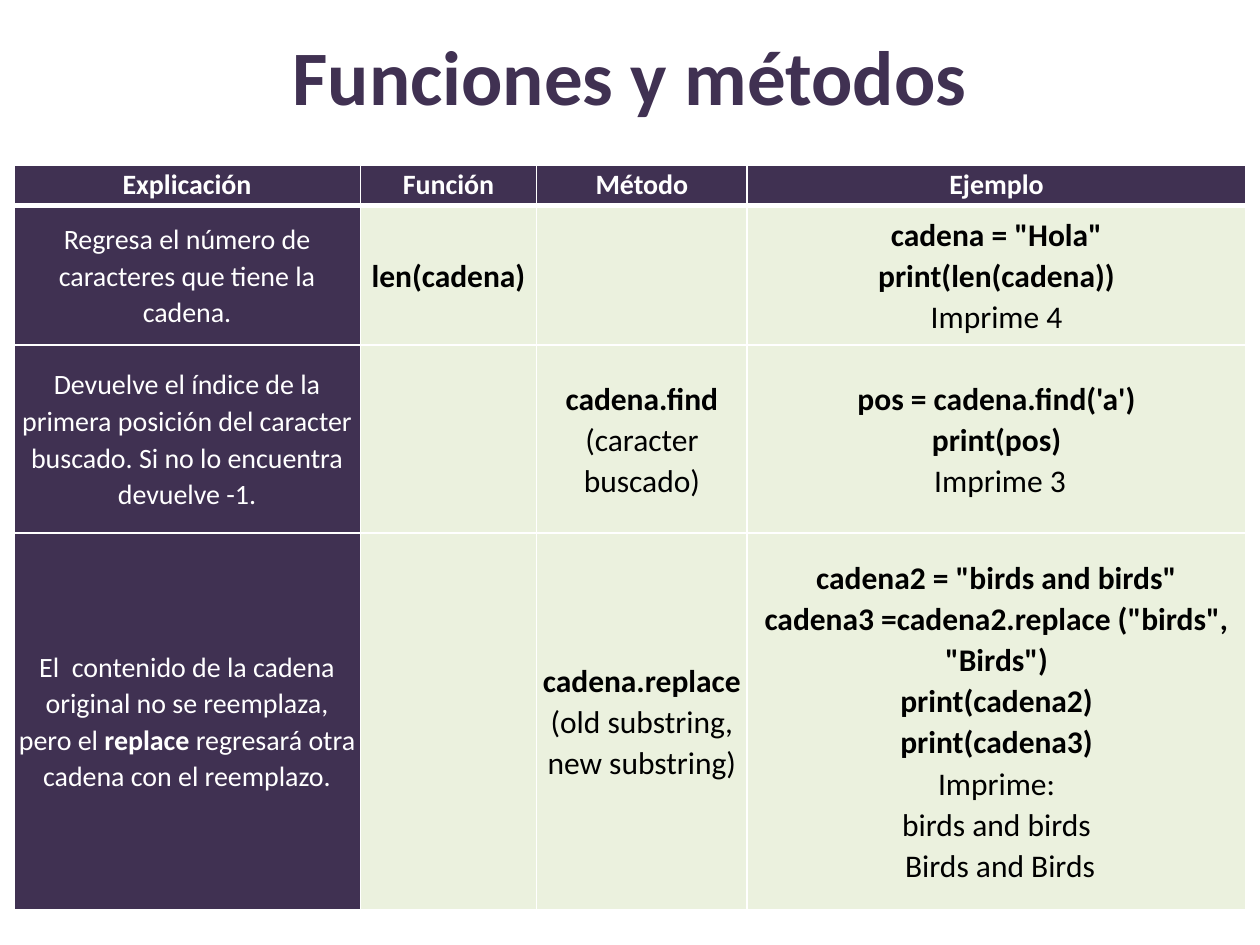
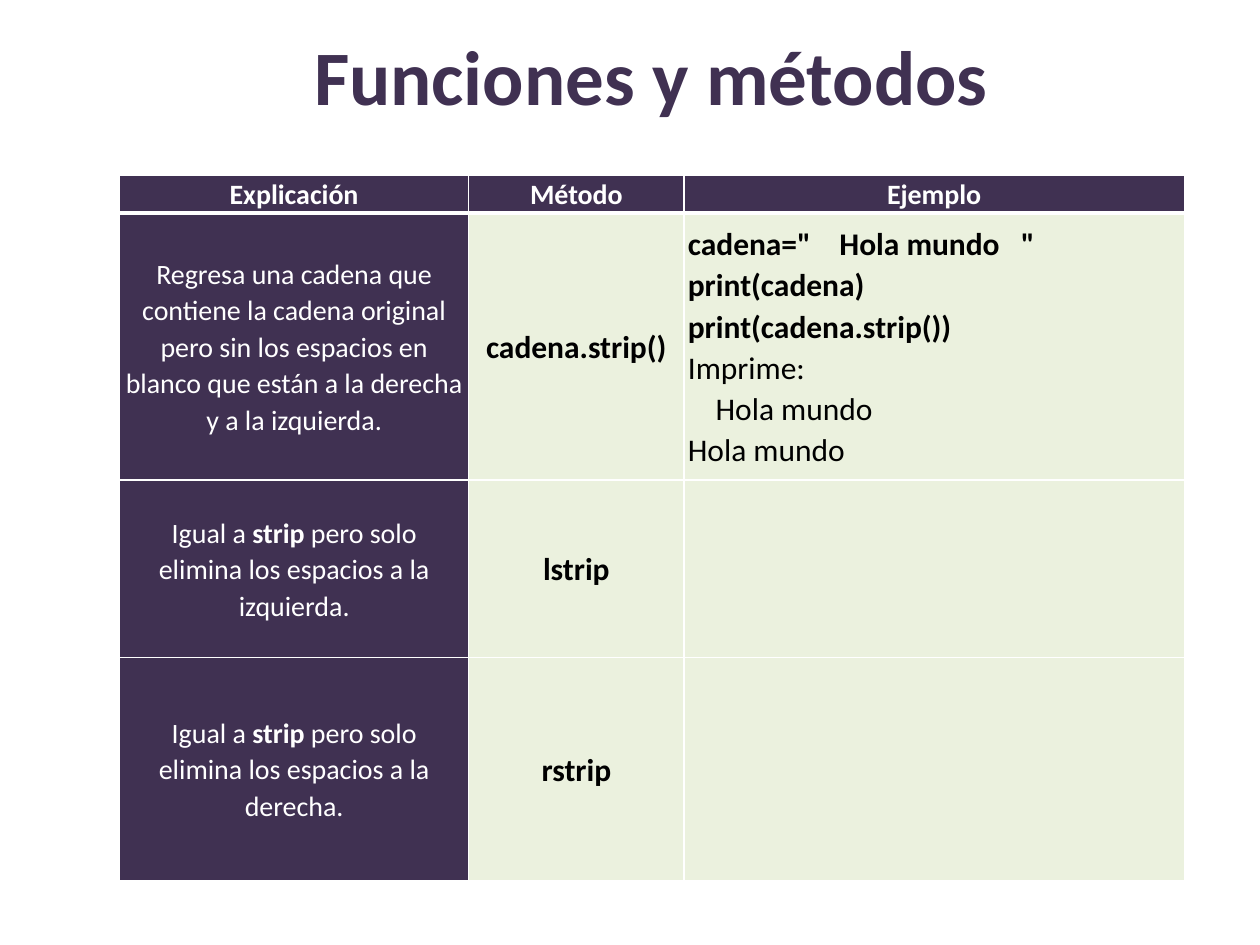
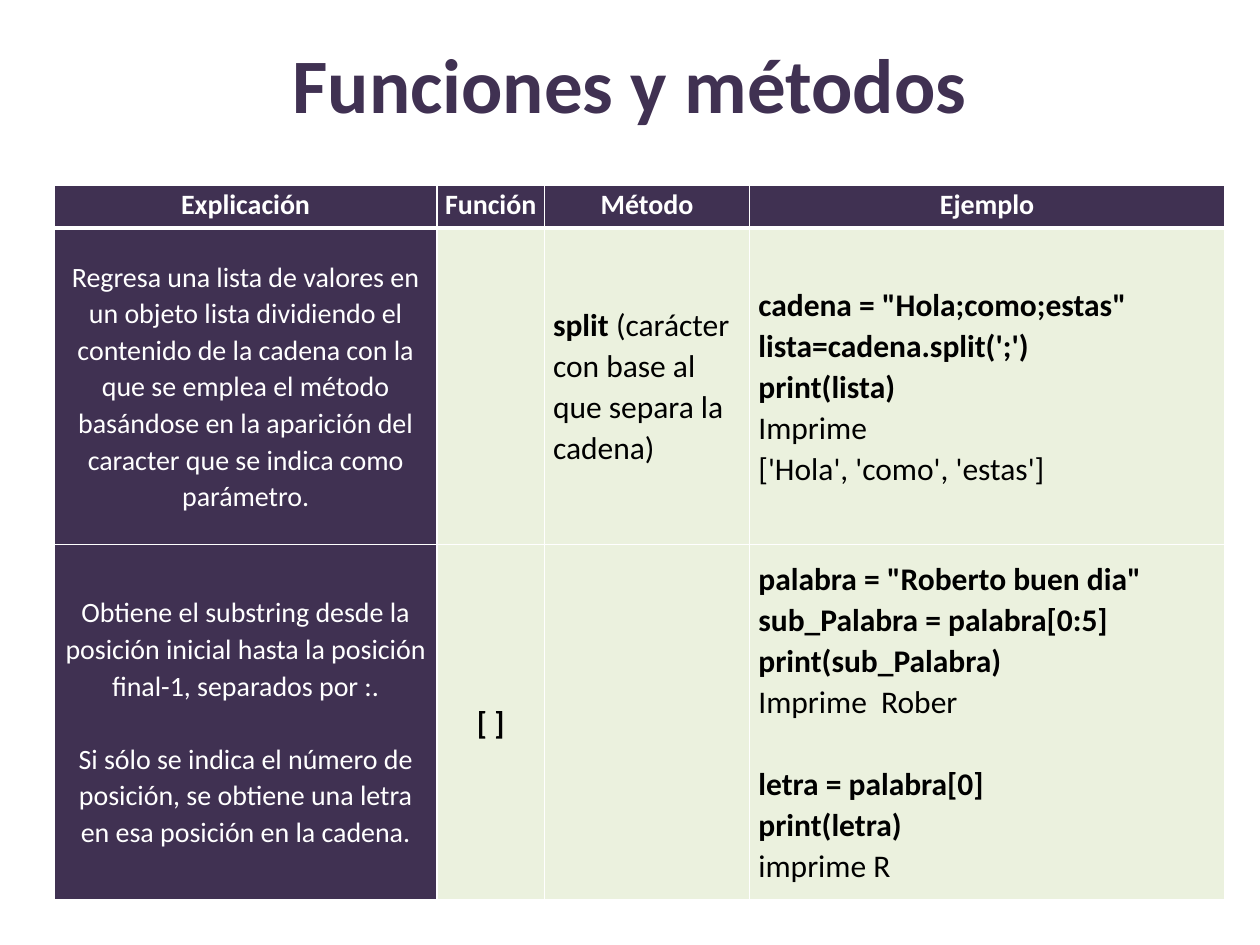
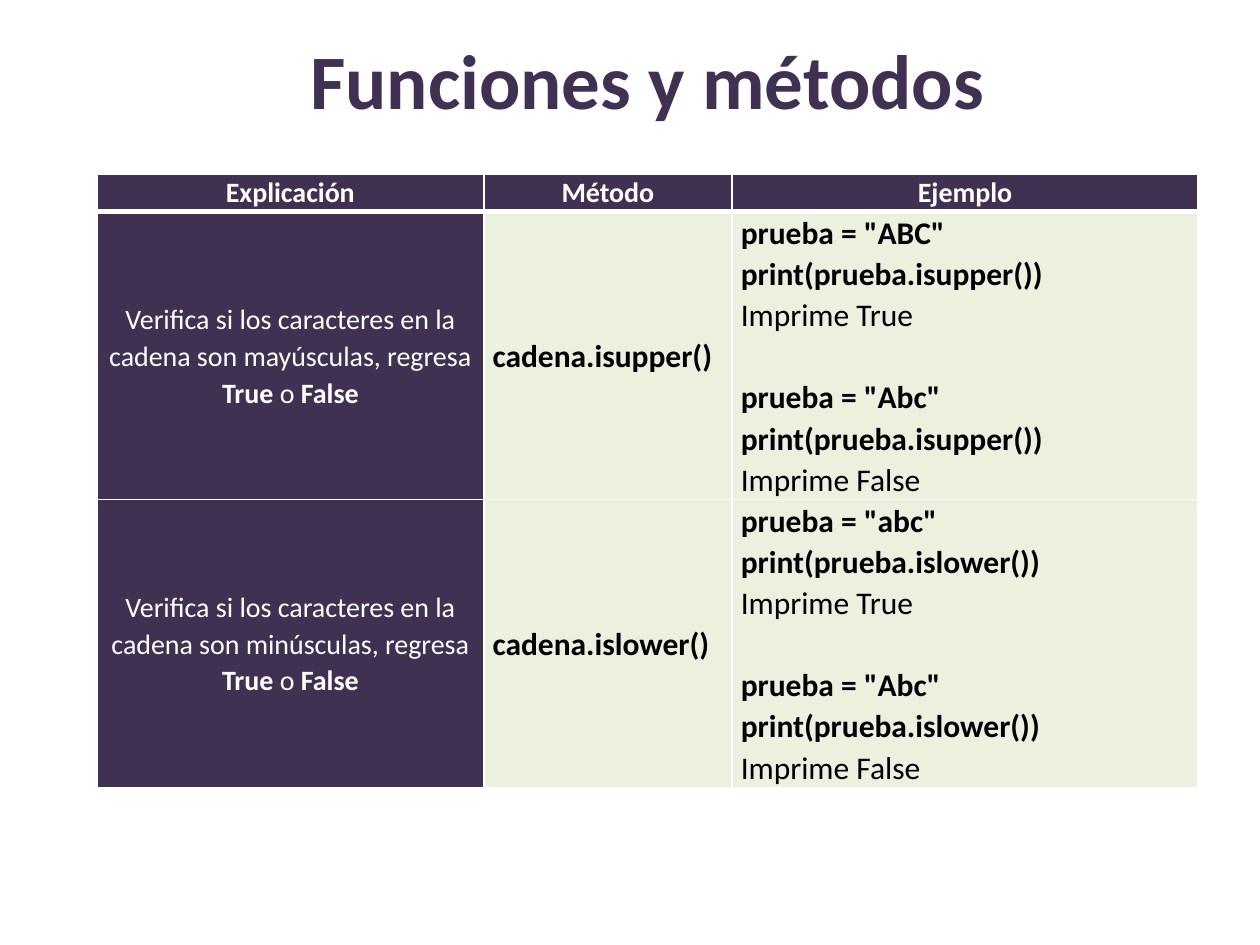
import pptx
import pptx.dml.color
import pptx.enum.text
import pptx.oxml
import pptx.oxml.ns
import pptx.util

Inches = pptx.util.Inches
ALIGN = pptx.enum.text.PP_ALIGN
ANCHOR = pptx.enum.text.MSO_ANCHOR

# Shared look
COLORS = {"purple": "403152", "green": "EBF1DE", "white": "FFFFFF", "black": "000000"}
FONT = "Calibri"
TITLE = "Funciones y métodos"
TITLE_SIZE, LABEL_SIZE, CODE_SIZE = 44, 16, 18
LINE_SPACING = 1.07
LINE_HEIGHT = 1.22 * LINE_SPACING  # height of one line, in font sizes
NARROW, WIDE = 0.03, 0.07  # side margins of cells
OUTPUT_INDENT = 0.22

# Cell texts: ** switches bold, an empty line is a gap, a tab is an indent
SEARCH_ROWS = [
    ["Explicación", "Función", "Método", "Ejemplo"],
    ["Regresa el número de caracteres que tiene la cadena.",
     "**len(cadena)**",
     "",
     '**cadena = "Hola"**\n**print(len(cadena))**\nImprime 4'],
    ["Devuelve el índice de la primera posición del caracter buscado. "
     "Si no lo encuentra devuelve -1.",
     "",
     "**cadena.find **(caracter buscado)",
     "**pos = cadena.find('a')**\n**print(pos)**\n Imprime 3"],
    ["El  contenido de la cadena original no se reemplaza, pero el **replace** "
     "regresará otra cadena con el reemplazo.",
     "",
     "**cadena.replace**(old substring, new substring)",
     '**cadena2 = "birds and birds"**\n'
     '**cadena3 =cadena2.replace ("birds", "Birds")**\n'
     "**print(cadena2)**\n**print(cadena3)**\n"
     "Imprime:\nbirds and birds\n Birds and Birds"],
]

STRIP_ROWS = [
    ["Explicación", "Método", "Ejemplo"],
    ["Regresa una cadena que contiene la cadena original pero sin los espacios "
     "en blanco que están a la derecha y a la izquierda.",
     "**cadena.strip()**",
     '**cadena="    Hola mundo   "**\n**print(cadena)**\n**print(cadena.strip())**\n'
     "Imprime:\n\tHola mundo\nHola mundo"],
    ["Igual a **strip **pero solo elimina los espacios a la izquierda.",
     "**lstrip**", ""],
    ["Igual a **strip** pero solo elimina los espacios a la derecha.",
     "**rstrip**", ""],
]

SPLIT_ROWS = [
    ["Explicación", "Función", "Método", "Ejemplo"],
    ["Regresa una lista de valores en un objeto lista dividiendo el contenido de "
     "la cadena con la que se emplea el método basándose en la aparición del "
     "caracter que se indica como parámetro.",
     "",
     "**split **(carácter con base al que separa la cadena)",
     '**cadena = "Hola;como;estas"**\n**lista=cadena.split(\';\')**\n'
     "**print(lista)**\nImprime\n['Hola', 'como', 'estas']"],
    ["Obtiene el substring desde la posición inicial hasta la posición final-1, "
     "separados por :.\n\n"
     "Si sólo se indica el número de posición, se obtiene una letra en esa "
     "posición en la cadena.",
     "**[ ]**",
     "",
     '**palabra = "Roberto buen dia"**\n**sub_Palabra = palabra[0:5]**\n'
     "**print(sub_Palabra)**\nImprime  Rober\n\n"
     "**letra = palabra[0]**\n**print(letra)**\nimprime R"],
]


def case_row(kind, method, sample):
    """Row for a method that checks the case of a text."""
    checks = [f'**prueba = "{text}"**\n**print(prueba.{method}())**\nImprime {result}'
              for text, result in ((sample, True), ("Abc", False))]
    return [f"Verifica si los caracteres en la cadena son {kind}, "
            "regresa **True** o **False**",
            f"**cadena.{method}()**",
            "\n\n".join(checks)]


CASE_ROWS = [
    ["Explicación", "Método", "Ejemplo"],
    case_row("mayúsculas", "isupper", "ABC"),
    case_row("minúsculas", "islower", "abc"),
]


def rgb(name):
    return pptx.dml.color.RGBColor.from_string(COLORS[name])


def style_font(font, size, color, bold):
    font.name = FONT
    font.size = pptx.util.Pt(size)
    font.color.rgb = rgb(color)
    font.bold = bold


def add_title(slide, left, top):
    title = slide.shapes.title
    title.left, title.top = Inches(left), Inches(top)
    title.width, title.height = Inches(8), Inches(1.25)
    title.text_frame.vertical_anchor = ANCHOR.MIDDLE
    paragraph = title.text_frame.paragraphs[0]
    paragraph.text = TITLE
    paragraph.alignment = ALIGN.CENTER
    style_font(paragraph.font, TITLE_SIZE, "purple", True)


def set_borders(cell, bottom_width):
    """White lines around a cell, with widths in points."""
    properties = cell._tc.get_or_add_tcPr()
    for side, width in (("L", 1), ("R", 1), ("T", 1), ("B", bottom_width)):
        properties.append(pptx.oxml.parse_xml(
            f'<a:ln{side} {pptx.oxml.ns.nsdecls("a")} w="{pptx.util.Pt(width)}">'
            f'<a:solidFill><a:srgbClr val="{COLORS["white"]}"/></a:solidFill>'
            f'</a:ln{side}>'))


def write_paragraph(paragraph, line, size, color, alignment):
    paragraph.alignment = alignment
    paragraph.line_spacing = LINE_SPACING
    if line.startswith("\t"):
        paragraph._p.get_or_add_pPr().set("marL", str(Inches(OUTPUT_INDENT)))
    pieces = [(text, number % 2 == 1)
              for number, text in enumerate(line.strip("\t").split("**")) if text]
    style_font(paragraph.font, size, color, pieces[0][1])
    for text, bold in pieces:
        run = paragraph.add_run()
        run.text = text
        run.font.bold = bold


def write_cell(cell, content, size, color, alignment):
    frame = cell.text_frame
    paragraph = frame.paragraphs[0]
    started = False
    for block_number, block in enumerate(content.split("\n\n")):
        for line_number, line in enumerate(block.split("\n")):
            if started:
                paragraph = frame.add_paragraph()
            write_paragraph(paragraph, line, size, color, alignment)
            if block_number and not line_number:
                paragraph.space_before = pptx.util.Pt(round(size * LINE_HEIGHT, 1))
            started = True


def add_method_table(slide, left, top, widths, heights, rows,
                     left_columns=(), narrow_rows=1):
    """Table with a dark header row and a dark first column."""
    table = slide.shapes.add_table(
        len(rows), len(widths), Inches(left), Inches(top),
        Inches(sum(widths)), Inches(sum(heights))).table
    table.horz_banding = False
    for column, width in zip(table.columns, widths):
        column.width = Inches(width)
    for row, height in zip(table.rows, heights):
        row.height = Inches(height)

    for row_number, contents in enumerate(rows):
        header = row_number == 0
        for column_number, content in enumerate(contents):
            cell = table.cell(row_number, column_number)
            dark = header or column_number == 0
            set_borders(cell, 3 if header else 1)
            cell.fill.solid()
            cell.fill.fore_color.rgb = rgb("purple" if dark else "green")
            cell.margin_top = cell.margin_bottom = 0
            margin = NARROW if row_number < narrow_rows else WIDE
            cell.margin_left = cell.margin_right = Inches(margin)
            cell.vertical_anchor = ANCHOR.TOP if header else ANCHOR.MIDDLE
            if not content:
                continue
            to_left = not header and column_number in left_columns
            write_cell(cell, f"**{content}**" if header else content,
                       LABEL_SIZE if dark else CODE_SIZE,
                       "white" if dark else "black",
                       ALIGN.LEFT if to_left else ALIGN.CENTER)


def add_slide(presentation, title_left, title_top):
    slide = presentation.slides.add_slide(presentation.slide_layouts[5])
    add_title(slide, title_left, title_top)
    return slide


def main():
    presentation = pptx.Presentation()
    presentation.slide_width, presentation.slide_height = Inches(10), Inches(7.5)

    # Length, search and replacement
    slide = add_slide(presentation, 1, -0.03)
    add_method_table(slide, 0.11, 1.31, [2.75, 1.4, 1.67, 3.96],
                     [0.32, 1.11, 1.49, 2.99], SEARCH_ROWS, narrow_rows=4)

    # Removing spaces
    slide = add_slide(presentation, 1.17, -0.03)
    add_method_table(slide, 0.95, 1.39, [2.77, 1.71, 3.97],
                     [0.3, 2.12, 1.41, 1.77], STRIP_ROWS,
                     left_columns=(2,), narrow_rows=2)

    # Splitting and slicing
    slide = add_slide(presentation, 1, 0.03)
    add_method_table(slide, 0.43, 1.47, [3.04, 0.85, 1.63, 3.77],
                     [0.34, 2.51, 2.82], SPLIT_ROWS, left_columns=(2, 3))

    # Checking upper and lower case
    slide = add_slide(presentation, 1.14, 0)
    add_method_table(slide, 0.77, 1.38, [3.07, 1.97, 3.7],
                     [0.3, 2.28, 2.28], CASE_ROWS, left_columns=(1, 2))

    presentation.save("out.pptx")


if __name__ == "__main__":
    main()
